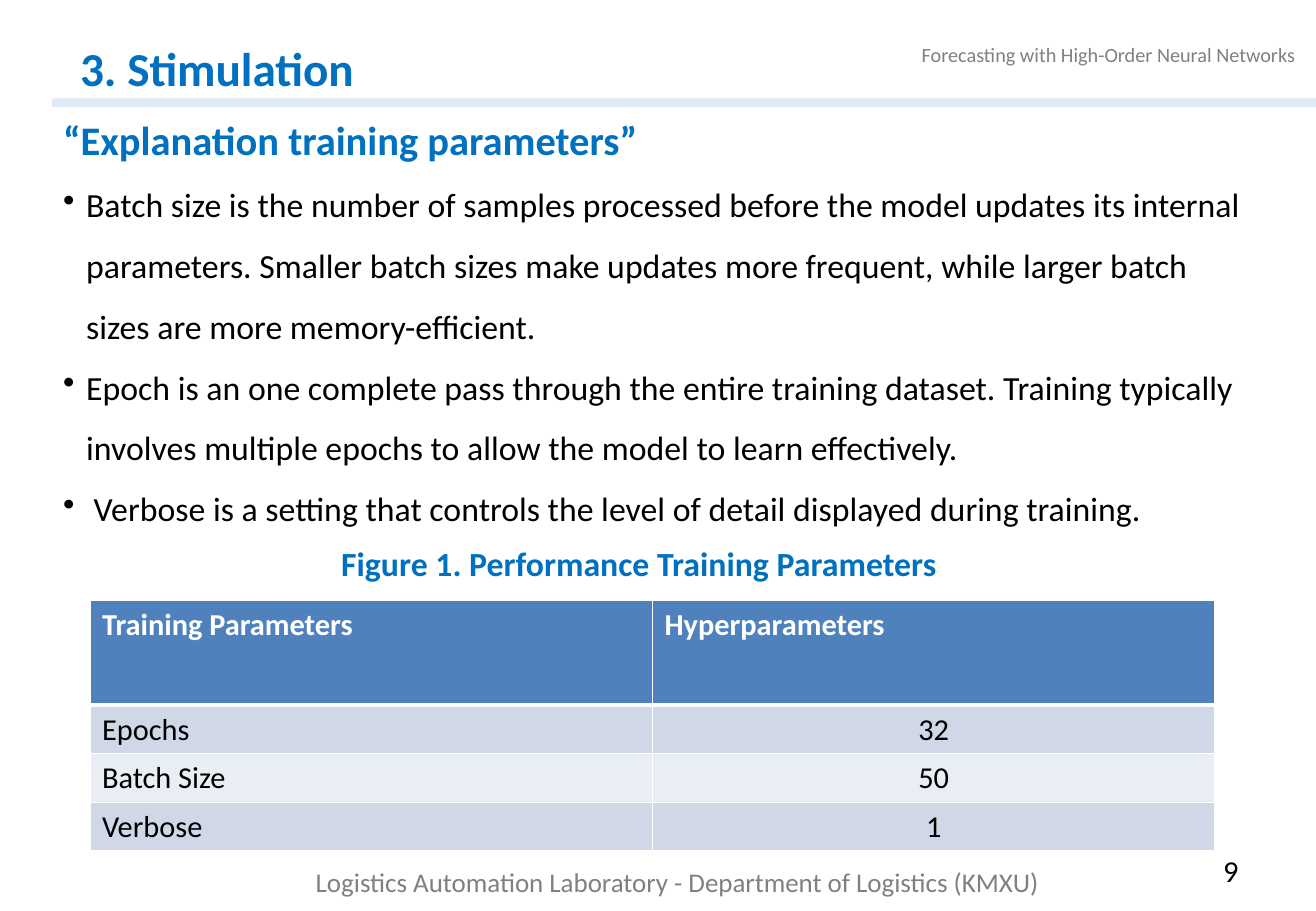
from dataclasses import dataclass

from lxml import etree
from pptx import Presentation, util as u
from pptx.dml.color import RGBColor
from pptx.enum import shapes, text
from pptx.oxml import ns

# Content
TITLE = "3. Stimulation"
RUNNING_HEAD = "Forecasting with High-Order Neural Networks"
FOOTER = "Logistics Automation Laboratory - Department of Logistics (KMXU)"
PAGE_NUMBER = "9"
HEADING = "“Explanation training parameters”"
DEFINITIONS = [
    "Batch size is the number of samples processed before the model updates its internal "
    "parameters. Smaller batch sizes make updates more frequent, while larger batch sizes "
    "are more memory-efficient.",
    "Epoch is an one complete pass through the entire training dataset. Training typically "
    "involves multiple epochs to allow the model to learn effectively.",
    " Verbose is a setting that controls the level of detail displayed during training.",
]
CAPTION = "Figure 1. Performance Training Parameters"
PARAMETERS = [
    ("Training Parameters", "Hyperparameters"),
    ("Epochs", "32"),
    ("Batch Size", "50"),
    ("Verbose", "1"),
]


@dataclass(frozen=True)
class Theme:
    font: str = "Calibri"
    blue: str = "0070C0"
    black: str = "000000"
    white: str = "FFFFFF"
    grey: str = "808080"
    rule: str = "DEEBF7"
    header: str = "4F81BD"
    bands: tuple = ("D0D8E8", "E9EDF4")
    title: int = 28
    heading: int = 24
    body: int = 20
    cell: int = 18
    footer: int = 16
    small: int = 12


THEME = Theme()
ALIGN = text.PP_ALIGN

# Layout: left, top, width, height in percent of the slide
WIDTH, HEIGHT = u.Inches(10.83), u.Inches(7.5)
RULE_AREA = (3.97, 10.8, 96.03, 0.93)
FOOTER_AREA = (23.08, 94.4, 70.18, 4.93)
RUNNING_AREA = (61.59, 4, 37.77, 4)
TITLE_AREA = (6.09, 4.13, 83.19, 6.4)
NUMBER_AREA = (78.12, 92.93, 16.9, 5.07)
BODY_AREA = (3.88, 6.67, 92.61, 52.8)
TABLE_AREA = (6.83, 65.87, 85.5, 27.47)
CAPTION_AREA = (25.02, 58.93, 50.05, 5.87)
HEADER_SHARE = 0.42
BULLET_INDENT = u.Inches(0.19)


def place(area):
    return [int(share * side / 100) for share, side in zip(area, (WIDTH, HEIGHT) * 2)]


def style(para, size, color, bold=False, align=ALIGN.LEFT):
    para.alignment = align
    para.font.name, para.font.size, para.font.bold = THEME.font, u.Pt(size), bold
    para.font.color.rgb = RGBColor.from_string(color)


def paint(part, color):
    part.fill.solid()
    part.fill.fore_color.rgb = RGBColor.from_string(color)


def add_text(page, area, words, size, color, **options):
    box = page.shapes.add_textbox(*place(area))
    box.text_frame.word_wrap = True
    para = box.text_frame.paragraphs[0]
    para.text = words
    style(para, size, color, **options)
    return box.text_frame


def add_bullet(para):
    props = para._p.get_or_add_pPr()
    props.set("marL", str(BULLET_INDENT))
    props.set("indent", str(-BULLET_INDENT))
    bullet = etree.Element(ns.qn("a:buChar"), char="•")
    props.find(ns.qn("a:defRPr")).addprevious(bullet)


def add_borders(cell, bottom):
    props = cell._tc.get_or_add_tcPr()
    for index, side in enumerate(("lnL", "lnR", "lnT", "lnB")):
        points = bottom if side == "lnB" else 1
        line = etree.Element(ns.qn(f"a:{side}"), w=str(u.Pt(points)))
        fill = etree.SubElement(line, ns.qn("a:solidFill"))
        etree.SubElement(fill, ns.qn("a:srgbClr"), val=THEME.white)
        props.insert(index, line)


def add_parameters(page):
    left, top, width, height = place(TABLE_AREA)
    rows, columns = len(PARAMETERS), len(PARAMETERS[0])
    table = page.shapes.add_table(rows, columns, left, top, width, height).table
    table.first_row = table.horz_banding = False
    header_height = int(height * HEADER_SHARE)
    for r, values in enumerate(PARAMETERS):
        is_header = r == 0
        table.rows[r].height = header_height if is_header else (height - header_height) // (rows - 1)
        for c, value in enumerate(values):
            cell = table.cell(r, c)
            cell.text = value
            centred = c > 0 and not is_header
            style(cell.text_frame.paragraphs[0], THEME.cell,
                  THEME.white if is_header else THEME.black, bold=is_header,
                  align=ALIGN.CENTER if centred else ALIGN.LEFT)
            paint(cell, THEME.header if is_header else THEME.bands[(r - 1) % 2])
            add_borders(cell, bottom=3 if is_header else 1)


def main():
    deck = Presentation()
    deck.slide_width, deck.slide_height = WIDTH, HEIGHT
    page = deck.slides.add_slide(deck.slide_layouts[6])

    # Frame of the page
    rule = page.shapes.add_shape(shapes.MSO_SHAPE.RECTANGLE, *place(RULE_AREA))
    rule.shadow.inherit = False
    rule.line.fill.background()
    paint(rule, THEME.rule)
    add_text(page, FOOTER_AREA, FOOTER, THEME.footer, THEME.grey)
    add_text(page, RUNNING_AREA, RUNNING_HEAD, THEME.small, THEME.grey, align=ALIGN.RIGHT)
    add_text(page, NUMBER_AREA, PAGE_NUMBER, THEME.cell, THEME.black, align=ALIGN.RIGHT)

    # Title
    title = add_text(page, TITLE_AREA, TITLE, THEME.title, THEME.blue, bold=True)
    title.margin_left = title.margin_right = title.margin_bottom = 0
    title.margin_top = u.Inches(0.01)

    # Heading and definitions
    body = add_text(page, BODY_AREA, HEADING, THEME.heading, THEME.blue, bold=True)
    body.paragraphs[0].line_spacing = 2.0
    for definition in DEFINITIONS:
        para = body.add_paragraph()
        para.text = definition
        para.line_spacing = 1.5
        style(para, THEME.body, THEME.black)
        add_bullet(para)

    # Table and its caption
    add_parameters(page)
    add_text(page, CAPTION_AREA, CAPTION, THEME.body, THEME.blue, bold=True)

    deck.save("out.pptx")


if __name__ == "__main__":
    main()
